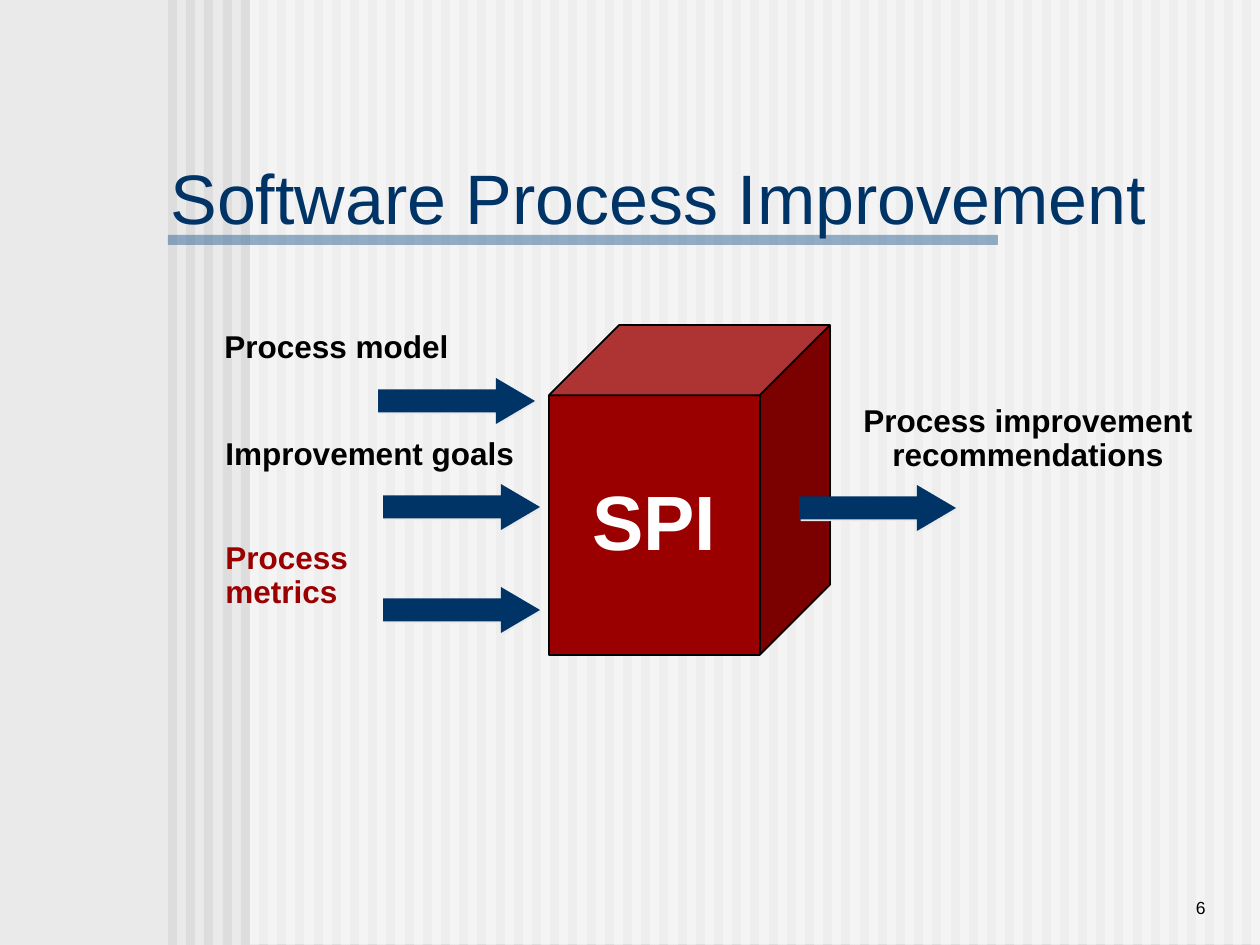
from dataclasses import dataclass

from lxml import etree
from pptx import Presentation
from pptx.dml.color import RGBColor
from pptx.enum.shapes import MSO_SHAPE
from pptx.enum.text import MSO_ANCHOR, MSO_AUTO_SIZE, PP_ALIGN
from pptx.oxml.ns import qn
from pptx.shapes.autoshape import Shape
from pptx.slide import Slide
from pptx.util import Emu, Pt

RECTANGLE, CUBE, RIGHT_ARROW = MSO_SHAPE.RECTANGLE, MSO_SHAPE.CUBE, MSO_SHAPE.RIGHT_ARROW
LEFT, CENTER, RIGHT = PP_ALIGN.LEFT, PP_ALIGN.CENTER, PP_ALIGN.RIGHT
TOP, MIDDLE, BOTTOM = MSO_ANCHOR.TOP, MSO_ANCHOR.MIDDLE, MSO_ANCHOR.BOTTOM
FIT_SHAPE = MSO_AUTO_SIZE.SHAPE_TO_FIT_TEXT

PX_PER_INCH = 126
SLIDE_WIDTH, SLIDE_HEIGHT = 1260, 945
STRIPE_COUNT, STRIPE_LEFT, STRIPE_WIDTH = 60, 168, 9
STRIPE_PITCH = 18.2


@dataclass(frozen=True)
class Theme:
    font: str = "Arial"
    background: str = "EAEAEA"
    stripe: str = "DDDDDD"
    veil: str = "FFFFFF"
    rule: str = "336699"
    navy: str = "003366"
    red: str = "9A0000"
    black: str = "000000"
    white: str = "FFFFFF"
    title_size: int = 40
    cube_size: int = 44
    label_size: int = 18
    number_size: int = 10


@dataclass(frozen=True)
class Box:
    left: int
    top: int
    width: int
    height: int

    def emu(self) -> list[Emu]:
        return [px(n) for n in (self.left, self.top, self.width, self.height)]


@dataclass(frozen=True)
class Flow:
    """An arrow with its label above it."""
    text: str
    label: Box
    arrow_left: int
    arrow_top: int
    color: str
    align: PP_ALIGN = LEFT


THEME = Theme()
FLOWS = [
    Flow("Process model", Box(212, 325, 249, 47), 378, 378, THEME.black),
    Flow("Improvement goals", Box(213, 432, 314, 47), 383, 484, THEME.black),
    Flow("Process metrics", Box(213, 536, 268, 47), 383, 587, THEME.red),
    Flow("Process improvement\nrecommendations", Box(851, 399, 354, 81), 799, 485,
         THEME.black, CENTER),
]


def px(length: int) -> Emu:
    return Emu(round(length * 914400 / PX_PER_INCH))


def add_block(page: Slide, kind: MSO_SHAPE, box: Box, color: str,
              alpha: int = 100) -> Shape:
    block = page.shapes.add_shape(kind, *box.emu())
    block.shadow.inherit = False
    block.fill.solid()
    block.fill.fore_color.rgb = RGBColor.from_string(color)
    block.line.fill.background()
    if alpha < 100:
        tint = block.fill._xPr.find(".//" + qn("a:srgbClr"))
        etree.SubElement(tint, qn("a:alpha"), val=str(alpha * 1000))
    return block


def write(shape: Shape, text: str, *, size: int, color: str, bold: bool = False,
          align: PP_ALIGN = LEFT, anchor: MSO_ANCHOR = TOP,
          wrap: bool = False, spacing: float = 1.0) -> None:
    frame = shape.text_frame
    frame.word_wrap = wrap
    frame.vertical_anchor = anchor
    frame.text = text
    for para in frame.paragraphs:
        para.alignment = align
        para.line_spacing = spacing
        for span in para.runs:
            span.font.name = THEME.font
            span.font.size = Pt(size)
            span.font.bold = bold
            span.font.color.rgb = RGBColor.from_string(color)


def add_shadow(shape: Shape, color: str) -> None:
    effects = shape._element.spPr.find(qn("a:effectLst"))
    shadow = etree.SubElement(effects, qn("a:outerShdw"), dist=str(Pt(1.4)),
                              dir="2700000", algn="ctr", rotWithShape="0")
    etree.SubElement(shadow, qn("a:srgbClr"), val=color)


def draw_background(page: Slide) -> None:
    page.background.fill.solid()
    page.background.fill.fore_color.rgb = RGBColor.from_string(THEME.background)
    for index in range(STRIPE_COUNT):
        left = STRIPE_LEFT + round(index * STRIPE_PITCH)
        add_block(page, RECTANGLE, Box(left, 0, STRIPE_WIDTH, SLIDE_HEIGHT), THEME.stripe)
    add_block(page, RECTANGLE, Box(250, -1, 1010, SLIDE_HEIGHT), THEME.veil, alpha=50)
    add_block(page, RECTANGLE, Box(168, 235, 830, 10), THEME.rule, alpha=50)


def draw_cube(page: Slide) -> None:
    cube = add_block(page, CUBE, Box(549, 325, 281, 330), THEME.red)
    cube.adjustments[0] = 0.25
    cube.line.color.rgb = RGBColor.from_string(THEME.black)
    cube.line.width = Pt(1)
    write(cube, "SPI", size=THEME.cube_size, color=THEME.white, bold=True,
          align=CENTER, anchor=MIDDLE, spacing=0.9)


def draw_flow(page: Slide, flow: Flow) -> None:
    arrow = add_block(page, RIGHT_ARROW, Box(flow.arrow_left, flow.arrow_top, 157, 46),
                      THEME.navy)
    arrow.adjustments[0] = 0.5
    arrow.adjustments[1] = 0.85
    add_shadow(arrow, THEME.background)
    label = page.shapes.add_textbox(*flow.label.emu())
    write(label, flow.text, size=THEME.label_size, color=flow.color, bold=True,
          align=flow.align, spacing=0.9)
    label.text_frame.auto_size = FIT_SHAPE


def main() -> None:
    deck = Presentation()
    deck.slide_width, deck.slide_height = px(SLIDE_WIDTH), px(SLIDE_HEIGHT)
    page = deck.slides.add_slide(deck.slide_layouts[6])
    draw_background(page)

    # Title
    title = page.shapes.add_textbox(*Box(158, 158, 1050, 87).emu())
    write(title, "Software Process Improvement", size=THEME.title_size,
          color=THEME.navy, anchor=BOTTOM, wrap=True)

    # Process diagram
    draw_cube(page)
    for flow in FLOWS:
        draw_flow(page, flow)

    # Slide number
    number = page.shapes.add_textbox(*Box(1040, 861, 178, 63).emu())
    write(number, "6", size=THEME.number_size, color=THEME.black,
          align=RIGHT, anchor=BOTTOM, wrap=True)

    deck.save("out.pptx")


if __name__ == "__main__":
    main()
